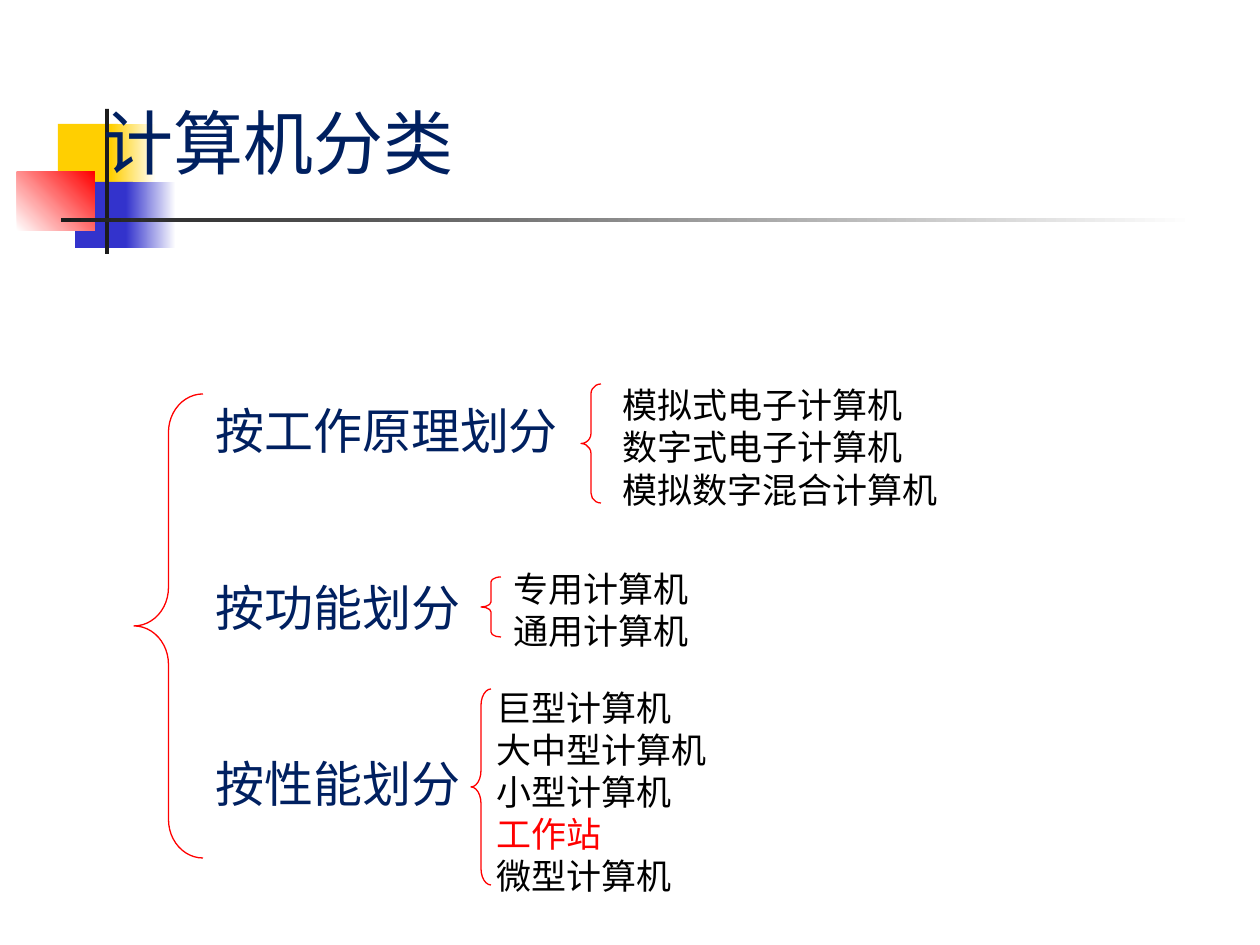
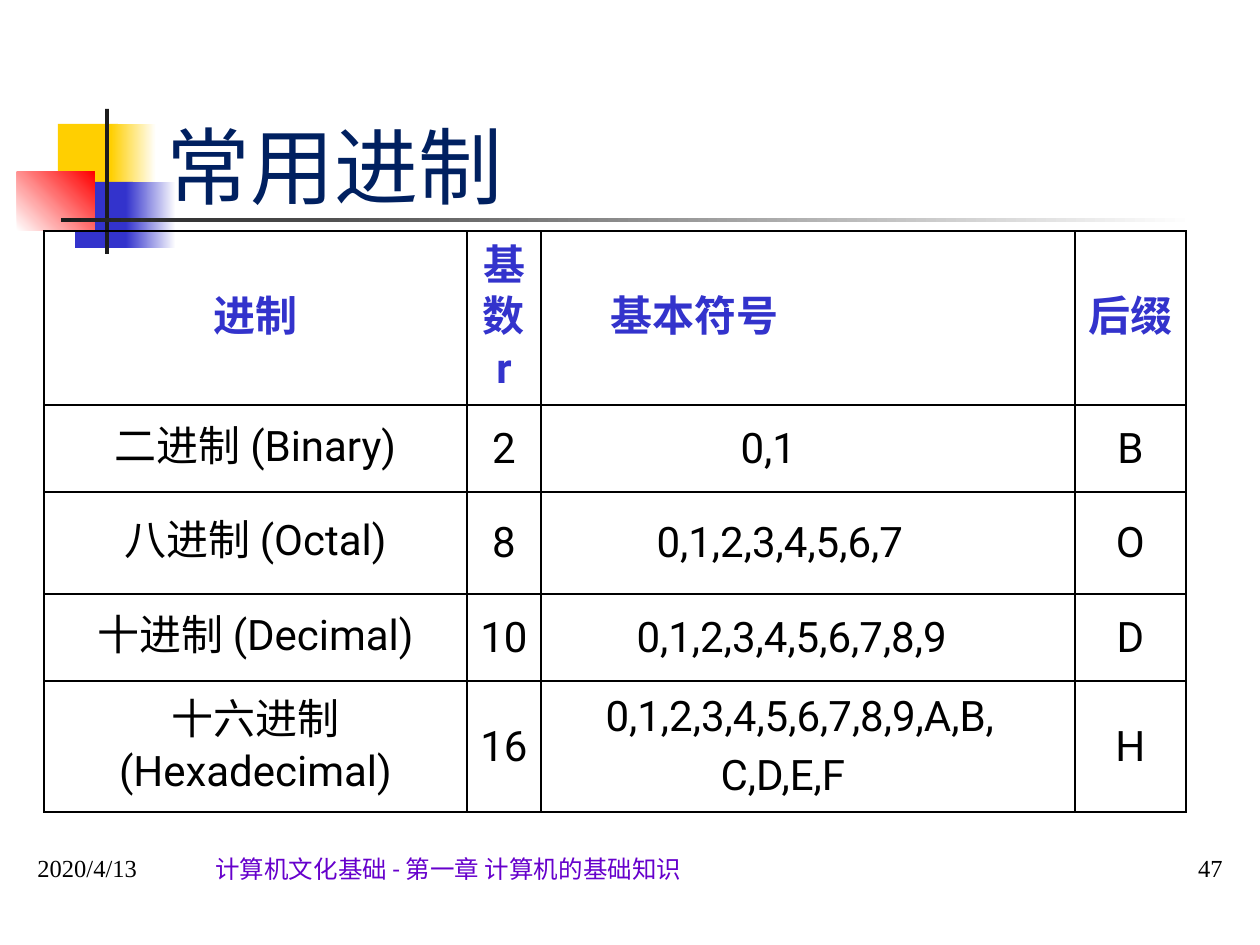
from lxml import etree
from pptx import Presentation
from pptx.dml.color import RGBColor
from pptx.enum.shapes import MSO_SHAPE
from pptx.enum.text import MSO_ANCHOR, PP_ALIGN
from pptx.oxml.ns import qn
from pptx.util import Pt

# Content
CLASS_TITLE = "计算机分类"
CRITERIA = ["按工作原理划分", "按功能划分", "按性能划分"]
CRITERIA_BOX = (203, 391, 387, 428)
CRITERIA_BRACE = (134, 394, 69, 464, 0.557)
MEMBERS = [  # text box, brace with its curl, lines
    ((610, 374, 436, 139), (581, 384, 20, 119, 0.498),
     ["模拟式电子计算机", "数字式电子计算机", "模拟数字混合计算机"]),
    ((501, 557, 377, 97), (481, 577, 20, 60, 0.249),
     ["专用计算机", "通用计算机"]),
    ((484, 676, 377, 223), (471, 689, 20, 196, 0.829),
     ["巨型计算机", "大中型计算机", "小型计算机", "工作站", "微型计算机"]),
]
HIGHLIGHT = "工作站"

RADIX_TITLE = "常用进制"
RADIX_ROWS = [  # symbols are (indent, line) pairs
    ("进制", "基数r", [(57, "基本符号")], "后缀"),
    ("二进制 (Binary)", "2", [(187, "0,1")], "B"),
    ("八进制 (Octal)", "8", [(103, "0,1,2,3,4,5,6,7")], "O"),
    ("十进制 (Decimal)", "10", [(83, "0,1,2,3,4,5,6,7,8,9")], "D"),
    ("十六进制 (Hexadecimal)", "16",
     [(52, "0,1,2,3,4,5,6,7,8,9,A,B,"), (167, "C,D,E,F")], "H"),
]
RADIX_ORIGIN = (44, 231)
RADIX_WIDTHS = [423, 74, 534, 111]
RADIX_HEIGHTS = [174, 87, 102, 87, 131]
FOOTERS = [  # box, text, font, colour, alignment
    ((25, 826, 159, 63), "2020/4/13", "Times New Roman", "black", PP_ALIGN.LEFT),
    ((203, 827, 853, 63), "计算机文化基础 - 第一章 计算机的基础知识", "Roboto",
     "violet", PP_ALIGN.LEFT),
    ((1076, 826, 159, 63), "47", "Times New Roman", "black", PP_ALIGN.RIGHT),
]

# Shared look
COLORS = {"navy": "002060", "red": "FF0000", "black": "000000", "blue": "3333CC",
          "yellow": "FFCF01", "ink": "1C1C1C", "white": "FFFFFF", "violet": "6600CC"}
EMBLEM = [  # box, colour stops, angle
    ((58, 124, 60, 66), ["yellow"], 0),
    ((111, 124, 45, 66), ["yellow", "white"], 0),
    ((75, 182, 58, 66), ["blue"], 0),
    ((126, 182, 50, 66), ["blue", "white"], 0),
    ((17, 172, 78, 59), ["white", "red"], 45),
    ((105, 109, 4, 145), ["ink"], 0),
    ((61, 218, 1134, 4), ["ink", "white"], 0),
]
CJK, CJK_SC = "Noto Sans CJK JP", "Noto Sans CJK SC"
LINE = 1.2  # line pitch as a share of the text size


def px(length):
    return round(length * 914400 / 126)


def rgb(name):
    return RGBColor.from_string(COLORS[name])


def write(paragraph, text, size, color, font=CJK, east=CJK, bold=False,
          indent=0, **layout):
    if indent:
        paragraph._p.get_or_add_pPr().set("marL", str(px(indent)))
    for key, value in layout.items():
        setattr(paragraph, key, value)
    run = paragraph.add_run()
    run.text = text
    for key, value in {"size": Pt(size), "name": font, "bold": bold}.items():
        setattr(run.font, key, value)
    run.font.color.rgb = rgb(color)
    etree.SubElement(run._r.get_or_add_rPr(), qn("a:ea")).set("typeface", east)


def paragraphs(frame, count):
    return [frame.paragraphs[0]] + [frame.add_paragraph() for _ in range(count - 1)]


def text_frame(slide, box, **settings):
    frame = slide.shapes.add_textbox(*map(px, box)).text_frame
    for key, value in {"word_wrap": True, **settings}.items():
        setattr(frame, key, value)
    return frame


def add_lines(slide, box, lines, size, color, gap=0):
    frame = text_frame(slide, box, margin_top=px(10))
    for i, (paragraph, line) in enumerate(zip(paragraphs(frame, len(lines)), lines)):
        write(paragraph, line, size, "red" if line == HIGHLIGHT else color,
              line_spacing=Pt(size * LINE), space_before=Pt(gap if i else 0))


def add_title(slide, box, text, size, font):
    frame = text_frame(slide, box, vertical_anchor=MSO_ANCHOR.BOTTOM, margin_bottom=0)
    write(frame.paragraphs[0], text, size, "navy", font, font)


def add_emblem(slide):
    for box, stops, angle in EMBLEM:
        block = slide.shapes.add_shape(MSO_SHAPE.RECTANGLE, *map(px, box))
        block.shadow.inherit = False
        block.line.fill.background()
        if len(stops) == 1:
            block.fill.solid()
            block.fill.fore_color.rgb = rgb(stops[0])
        else:
            block.fill.gradient()
            block.fill.gradient_angle = angle
            for stop, color in zip(block.fill.gradient_stops, stops):
                stop.color.rgb = rgb(color)


def add_brace(slide, *box, curl):
    brace = slide.shapes.add_shape(MSO_SHAPE.LEFT_BRACE, *map(px, box))
    brace.shadow.inherit = False
    brace.fill.background()
    brace.line.color.rgb = rgb("red")
    brace.line.width = Pt(0.75)
    brace.adjustments[0] = curl


def outline(cell):
    cell.fill.background()
    properties = cell._tc.get_or_add_tcPr()
    for i, side in enumerate(("a:lnL", "a:lnR", "a:lnT", "a:lnB")):
        border = etree.Element(qn(side), w=str(Pt(1)))
        fill = etree.SubElement(border, qn("a:solidFill"))
        etree.SubElement(fill, qn("a:srgbClr")).set("val", COLORS["black"])
        properties.insert(i, border)


def add_radix_table(slide):
    size = (sum(RADIX_WIDTHS), sum(RADIX_HEIGHTS))
    table = slide.shapes.add_table(len(RADIX_ROWS), len(RADIX_WIDTHS),
                                   *map(px, RADIX_ORIGIN + size)).table
    table.first_row = table.horz_banding = False
    for column, width in zip(table.columns, RADIX_WIDTHS):
        column.width = px(width)
    for row, height in zip(table.rows, RADIX_HEIGHTS):
        row.height = px(height)
    for r, row in enumerate(RADIX_ROWS):
        for c, content in enumerate(row):
            cell = table.cell(r, c)
            outline(cell)
            cell.vertical_anchor = MSO_ANCHOR.MIDDLE
            symbols = isinstance(content, list)
            lines = content if symbols else [(0, content)]
            targets = paragraphs(cell.text_frame, len(lines))
            for i, (paragraph, (indent, line)) in enumerate(zip(targets, lines)):
                write(paragraph, line, 24, "black" if r else "blue", "Roboto", CJK_SC,
                      bold=r == 0, indent=indent, line_spacing=Pt(24 * LINE),
                      space_before=Pt(4.8 if i else 0),
                      alignment=PP_ALIGN.LEFT if symbols else PP_ALIGN.CENTER)


def main():
    deck = Presentation()
    deck.slide_width, deck.slide_height = px(1260), px(945)
    classes, radixes = (deck.slides.add_slide(deck.slide_layouts[6]) for _ in range(2))

    # Computer classes
    add_emblem(classes)
    add_title(classes, (91, 55, 1079, 129), CLASS_TITLE, 40, CJK_SC)
    *brace, curl = CRITERIA_BRACE
    add_brace(classes, *brace, curl=curl)
    add_lines(classes, CRITERIA_BOX, CRITERIA, 28, "navy", gap=2 * 28 * LINE)
    for box, (*brace, curl), lines in MEMBERS:
        add_lines(classes, box, lines, 20, "black")
        add_brace(classes, *brace, curl=curl)

    # Number systems
    add_emblem(radixes)
    for box, text, font, color, alignment in FOOTERS:
        frame = text_frame(radixes, box, vertical_anchor=MSO_ANCHOR.BOTTOM)
        write(frame.paragraphs[0], text, 14, color, font, CJK_SC, alignment=alignment)
    add_radix_table(radixes)
    add_title(radixes, (154, 86, 1079, 129), RADIX_TITLE, 48, CJK)

    deck.save("out.pptx")


if __name__ == "__main__":
    main()
